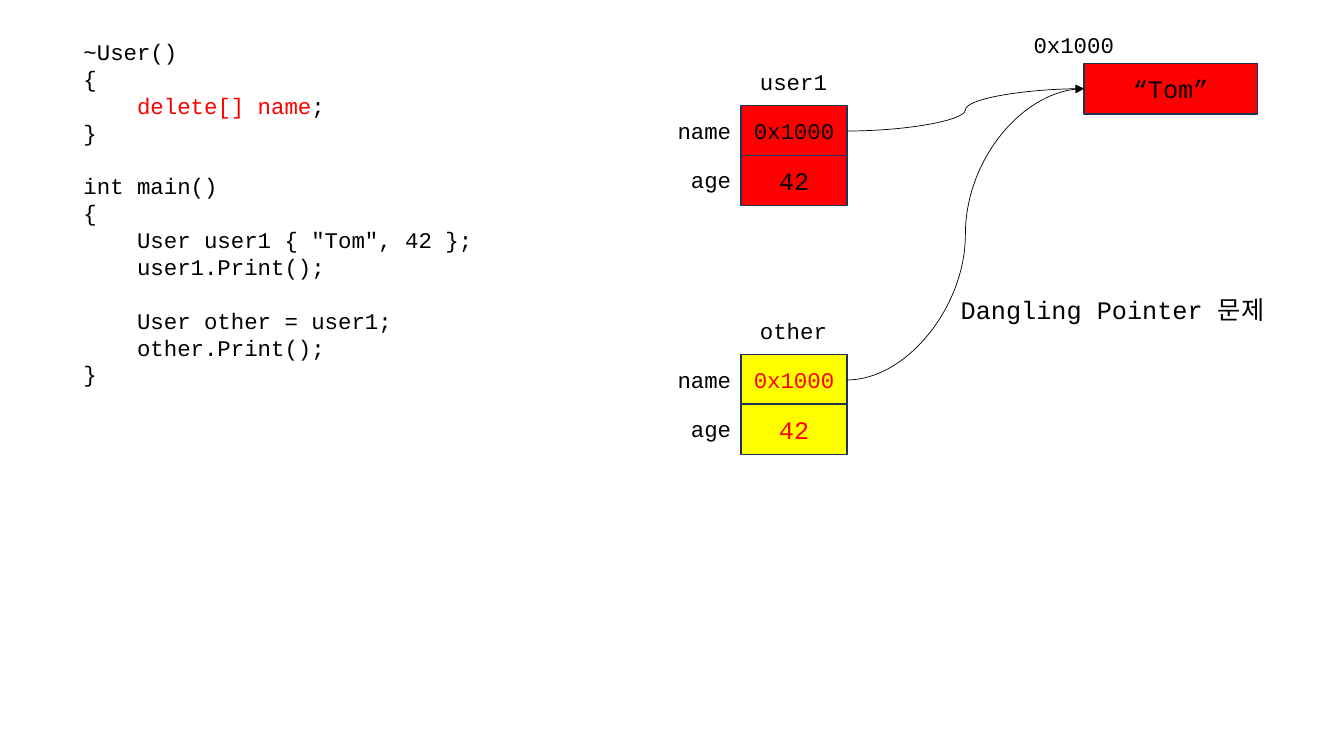
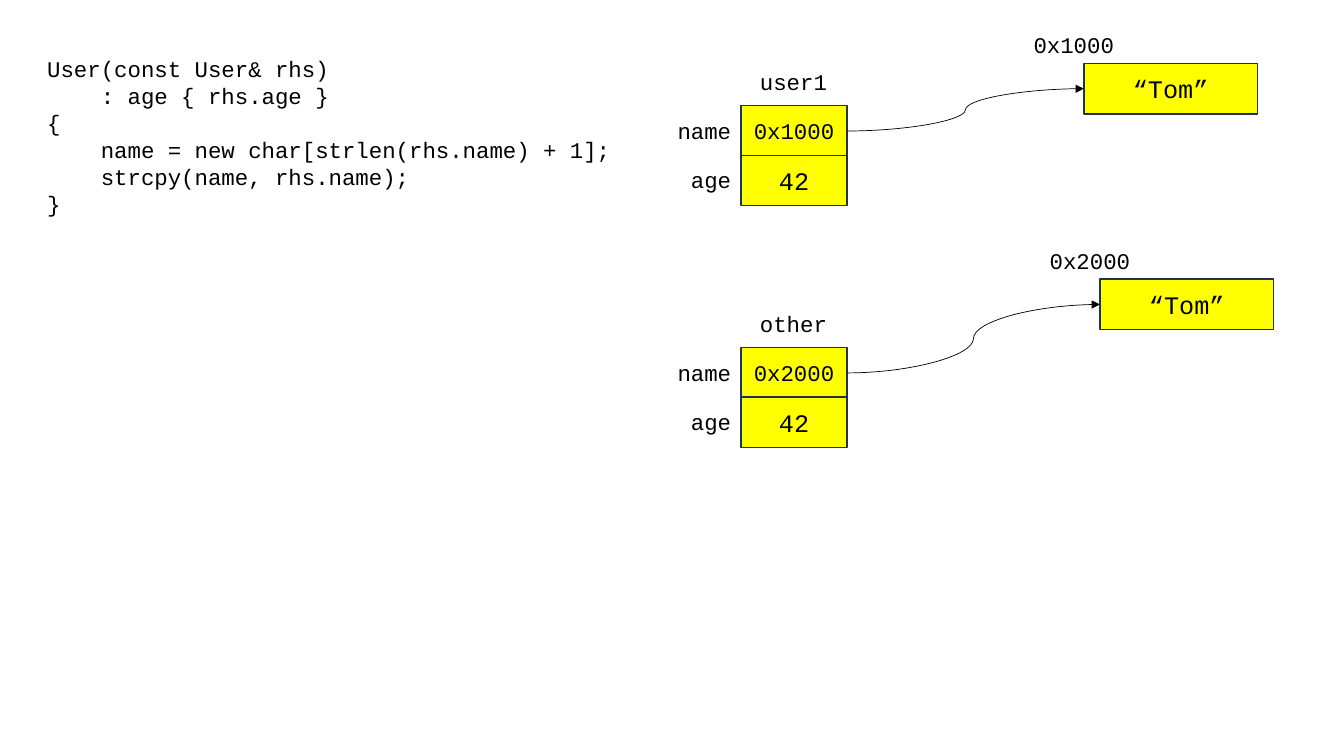
from pptx import Presentation
from pptx.dml.color import RGBColor
from pptx.enum.shapes import MSO_CONNECTOR as Connector, MSO_SHAPE as Preset
from pptx.enum.text import MSO_ANCHOR as Anchor, PP_ALIGN as Align
from pptx.oxml.ns import qn
from pptx.util import Inches, Pt
from lxml.etree import SubElement

BLACK, RED, YELLOW, NAVY = "000000", "FF0000", "FFFF00", "1E3256"
LEFT_SITE, RIGHT_SITE = 1, 3

DESTRUCTOR = """~User()
{
    delete[] name;
}

int main()
{
    User user1 { "Tom", 42 };
    user1.Print();

    User other = user1;
    other.Print();
}"""

COPY_CONSTRUCTOR = """User(const User& rhs)
    : age { rhs.age }
{
    name = new char[strlen(rhs.name) + 1];
    strcpy(name, rhs.name);
}"""


def rgb(color):
    return RGBColor.from_string(color)


def apply(target, values):
    for key, value in values.items():
        setattr(target, key, value)


class MemoryDeck:
    font = "Courier New"
    small, large = 16, 18
    leading = 1.2
    cell_width, cell_height, row_step = 1.05, 0.5, 0.49
    label_width, label_height = 1.04, 0.37
    record_left, string_width = 7.35, 1.72

    def __init__(self):
        self.deck = Presentation()
        apply(self.deck, {"slide_width": Inches(13.33), "slide_height": Inches(7.5)})
        self.slide = None

    def new_slide(self):
        self.slide = self.deck.slides.add_slide(self.deck.slide_layouts[6])

    def write_line(self, paragraph, pieces, size, align=Align.LEFT, gap=0):
        line_height = Pt(size * self.leading)
        apply(paragraph, {"alignment": align, "line_spacing": line_height})
        if gap:
            paragraph.space_before = line_height * gap
        for wording, color in pieces:
            run = paragraph.add_run()
            run.text = wording
            apply(run.font, {"name": self.font, "size": Pt(size)})
            run.font.color.rgb = rgb(color)

    def text_frame(self, left, top, width, height):
        box = self.slide.shapes.add_textbox(*map(Inches, (left, top, width, height)))
        box.text_frame.word_wrap = True
        return box.text_frame

    def label(self, wording, left, top, align=Align.CENTER, size=small,
              width=label_width, height=label_height):
        frame = self.text_frame(left, top, width, height)
        self.write_line(frame.paragraphs[0], [(wording, BLACK)], size, align)

    def code(self, source, left, top, height, highlight=None):
        frame = self.text_frame(left, top, 6.14, height)
        paragraph, gap = frame.paragraphs[0], 0
        for number, line in enumerate(source.split("\n")):
            if not line:
                gap += 1
                continue
            if number:
                paragraph = frame.add_paragraph()
            pieces = [(line, BLACK)]
            if highlight and highlight in line:
                before, marked, after = line.partition(highlight)
                pieces = [(before, BLACK), (marked, RED), (after, BLACK)]
            self.write_line(paragraph, pieces, self.small, gap=gap)
            gap = 0

    def cell(self, wording, left, top, width, size, fill, color):
        cell = self.slide.shapes.add_shape(
            Preset.RECTANGLE, *map(Inches, (left, top, width, self.cell_height)))
        cell.shadow.inherit = False
        cell.fill.solid()
        cell.fill.fore_color.rgb = rgb(fill)
        cell.line.color.rgb = rgb(NAVY)
        cell.line.width = Pt(1)
        apply(cell.text_frame, {"word_wrap": True, "vertical_anchor": Anchor.MIDDLE})
        self.write_line(cell.text_frame.paragraphs[0], [(wording, color)], size, Align.CENTER)
        return cell

    def record(self, title, address, top, fill=YELLOW, color=BLACK):
        fields = [("name", address, self.small), ("age", "42", self.large)]
        cells = []
        for row, (field, value, size) in enumerate(fields):
            row_top = top + row * self.row_step
            cells.append(self.cell(value, self.record_left, row_top, self.cell_width,
                                   size, fill, color))
            self.label(field, self.record_left - self.label_width, row_top + 0.06, Align.RIGHT)
        self.label(title, self.record_left, top - 0.42)
        return cells[0]

    def string(self, address, left, top, fill=YELLOW):
        target = self.cell("“Tom”", left, top, self.string_width, self.large, fill, BLACK)
        self.label(address, left - 0.62, top - self.label_height)
        return target

    def pointer(self, source, target):
        arrow = self.slide.shapes.add_connector(Connector.CURVE, 0, 0, 0, 0)
        arrow.begin_connect(source, RIGHT_SITE)
        arrow.end_connect(target, LEFT_SITE)
        arrow.line.color.rgb = rgb(BLACK)
        arrow.line.width = Pt(0.5)
        properties = arrow.element.spPr
        SubElement(properties.find(qn("a:ln")), qn("a:tailEnd"), type="triangle")
        SubElement(properties, qn("a:effectLst"))


def dangling_pointer(deck):
    deck.new_slide()
    deck.code(DESTRUCTOR, 0.73, 0.33, 3.6, "delete[] name")
    user = deck.record("user1", "0x1000", 1.05, RED)
    name = deck.string("0x1000", 10.75, 0.63, RED)
    deck.pointer(user, name)
    other = deck.record("other", "0x1000", 3.52, color=RED)
    deck.pointer(other, name)
    deck.label("Dangling Pointer 문제", 9.43, 2.87, Align.LEFT, deck.large, 3.32, 0.4)


def deep_copy(deck):
    deck.new_slide()
    copies = [("user1", "0x1000", 1.05, 10.75, 0.63),
              ("other", "0x2000", 3.45, 10.91, 2.77)]
    for title, address, record_top, string_left, string_top in copies:
        user = deck.record(title, address, record_top)
        deck.pointer(user, deck.string(address, string_left, string_top))
    deck.code(COPY_CONSTRUCTOR, 0.37, 0.5, 1.78)


def main():
    memory = MemoryDeck()
    dangling_pointer(memory)
    deep_copy(memory)
    memory.deck.save("out.pptx")


if __name__ == "__main__":
    main()
